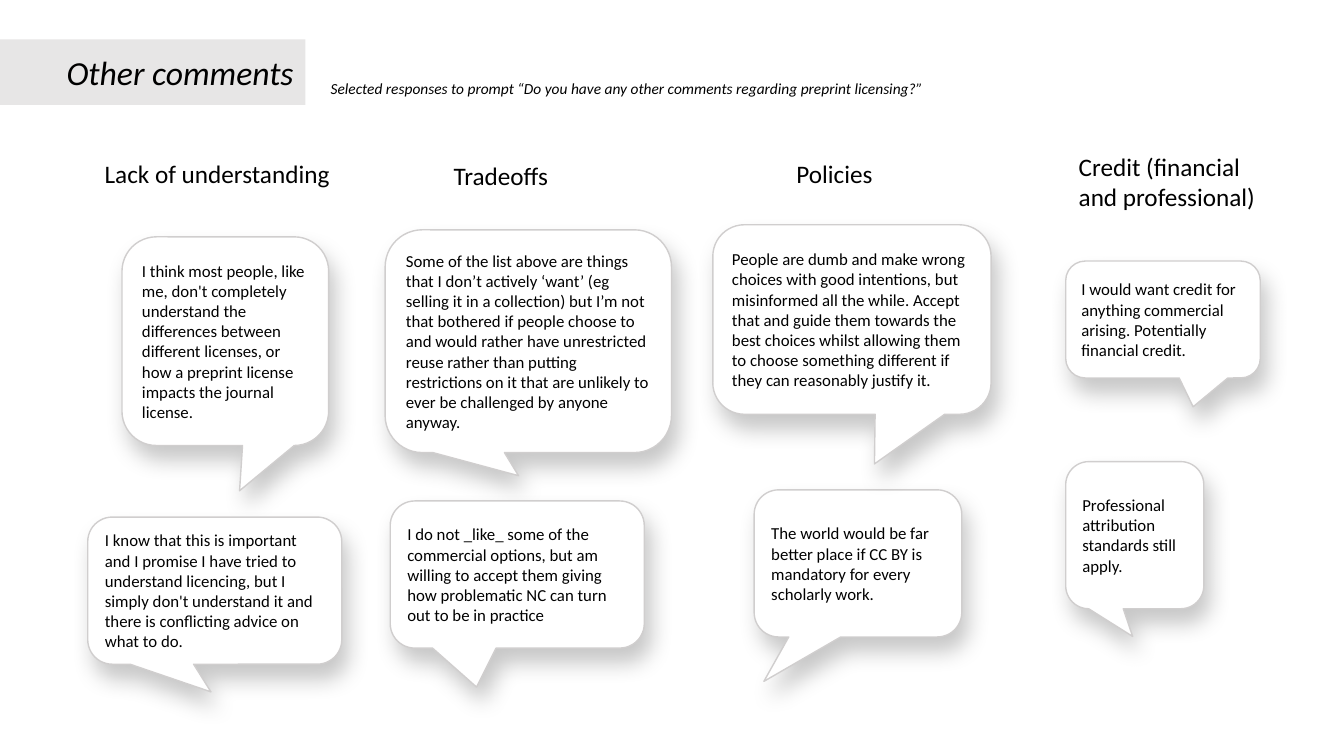
"""Build the slide of selected survey comments on preprint licensing."""
from lxml import etree
from pptx import Presentation
from pptx.dml.color import RGBColor
from pptx.enum.shapes import MSO_SHAPE
from pptx.enum.text import MSO_ANCHOR, MSO_AUTO_SIZE, PP_ALIGN
from pptx.oxml.ns import qn
from pptx.util import Pt

PX = 9144
RECTANGLE = MSO_SHAPE.RECTANGLE
CALLOUT = MSO_SHAPE.ROUNDED_RECTANGULAR_CALLOUT
TOP, MIDDLE = MSO_ANCHOR.TOP, MSO_ANCHOR.MIDDLE
GROW, FIXED = MSO_AUTO_SIZE.SHAPE_TO_FIT_TEXT, MSO_AUTO_SIZE.NONE
LEFT = PP_ALIGN.LEFT
BLACK, WHITE, BAND_GREY, LINE_GREY = "000000", "FFFFFF", "E7E6E6", "D0CECE"


def color(value):
    """Turn a hex string into a colour."""
    return RGBColor.from_string(value)


def write(box, text, size, italic=False, wrap=False, anchor=TOP, fit=GROW):
    """Put one left-aligned paragraph into a shape."""
    frame = box.text_frame
    frame_format = {"word_wrap": wrap, "vertical_anchor": anchor, "auto_size": fit}
    for name, value in frame_format.items():
        setattr(frame, name, value)
    para = frame.paragraphs[0]
    para.alignment = LEFT
    span = para.add_run()
    span.text = text
    font_format = {"name": "Calibri", "size": Pt(size), "italic": italic}
    for name, value in font_format.items():
        setattr(span.font, name, value)
    span.font.color.rgb = color(BLACK)


deck = Presentation()
deck.slide_width, deck.slide_height = 1333 * PX, 750 * PX
page = deck.slides.add_slide(deck.slide_layouts[5])

title = page.shapes.title
title_place = {"left": 56, "top": 46, "width": 248, "height": 50}
for name, value in title_place.items():
    setattr(title, name, value * PX)
write(title, "Other comments", 24, italic=True)

band = page.shapes.add_shape(RECTANGLE, 0, 39 * PX, 303 * PX, 65 * PX)
band.shadow.inherit = False
band.fill.solid()
band.fill.fore_color.rgb = color(BAND_GREY)
band.line.fill.background()
title.element.addprevious(band.element)

comments = [
    ((1057, 458, 137, 146), (-0.015, 0.688),
     "Professional attribution standards still apply."),
    ((382, 228, 284, 221), (-0.034, 0.604),
     "Some of the list above are things that I don’t actively ‘want’ (eg selling it "
     "in a collection) but I’m not that bothered if people choose to and would rather "
     "have unrestricted reuse rather than putting restrictions on it that are "
     "unlikely to ever be challenged by anyone anyway."),
    ((121, 235, 205, 207), (0.069, 0.717),
     "I think most people, like me, don't completely understand the differences "
     "between different licenses, or how a preprint license impacts the journal "
     "license."),
    ((387, 497, 252, 146), (-0.16, 0.765),
     "I do not _like_ some of the commercial options, but am willing to accept them "
     "giving how problematic NC can turn out to be in practice"),
    ((87, 513, 252, 146), (-0.015, 0.688),
     "I know that this is important and I promise I have tried to understand "
     "licencing, but I simply don't understand it and there is conflicting advice on "
     "what to do."),
    ((748, 486, 206, 146), (-0.453, 0.802),
     "The world would be far better place if CC BY is mandatory for every scholarly "
     "work."),
    ((1057, 259, 193, 116), (0.155, 0.747),
     "I would want credit for anything commercial arising. Potentially financial "
     "credit."),
    ((707, 223, 276, 188), (0.081, 0.762),
     "People are dumb and make wrong choices with good intentions, but misinformed "
     "all the while. Accept that and guide them towards the best choices whilst "
     "allowing them to choose something different if they can reasonably justify it."),
]
for place, tip, text in comments:
    bubble = page.shapes.add_shape(CALLOUT, *(value * PX for value in place))
    bubble.adjustments[0], bubble.adjustments[1] = tip
    bubble.fill.solid()
    bubble.fill.fore_color.rgb = color(WHITE)
    bubble.line.color.rgb = color(LINE_GREY)
    bubble.line.width = Pt(1)
    bubble.shadow.inherit = False
    effects = bubble.element.spPr.find(qn("a:effectLst"))
    shadow = etree.SubElement(
        effects, qn("a:outerShdw"), blurRad=str(Pt(16)), dist=str(Pt(11)),
        dir=str(67 * 60000), algn="tl", rotWithShape="0")
    shade = etree.SubElement(shadow, qn("a:srgbClr"), val=BLACK)
    etree.SubElement(shade, qn("a:alpha"), val="22000")
    write(bubble, text, 12, wrap=True, anchor=MIDDLE, fit=FIXED)

labels = [
    ((94, 152, 246, 40), "Lack of understanding", 18, False, False),
    ((318, 74, 615, 29),
     "Selected responses to prompt “Do you have any other comments regarding preprint "
     "licensing?”", 11, True, False),
    ((1060, 145, 208, 71), "Credit (financial and professional)", 18, False, True),
    ((440, 154, 115, 40), "Tradeoffs", 18, False, False),
    ((780, 152, 96, 40), "Policies", 18, False, False),
]
for place, text, size, italic, wrap in labels:
    label = page.shapes.add_textbox(*(value * PX for value in place))
    write(label, text, size, italic, wrap)

deck.save("out.pptx")
